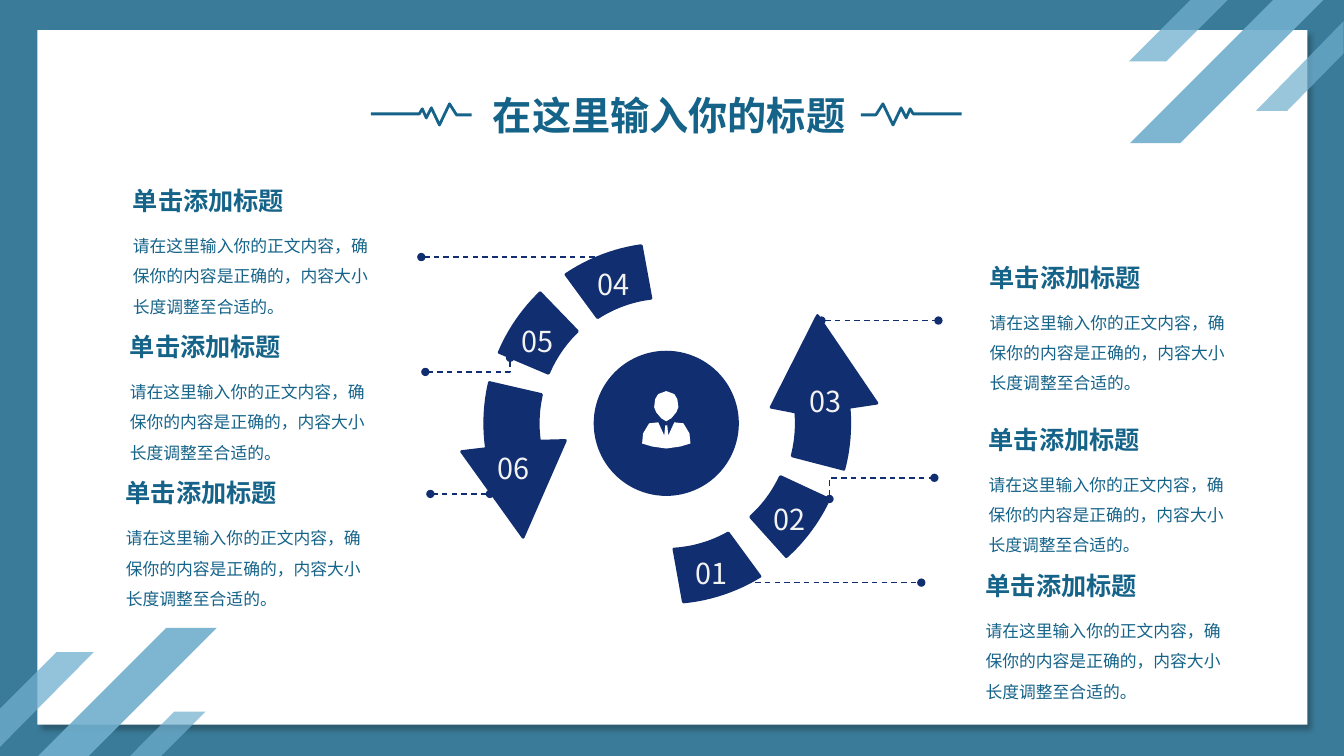
"""Build a slide with a six-step arrow cycle and its captions."""
import math

from lxml import etree
from pptx import Presentation
from pptx.dml.color import RGBColor
from pptx.enum import dml, shapes as kinds, text
from pptx.oxml import ns
from pptx.util import Pt

FRAME = RGBColor(0x3A, 0x7B, 0x99)
WHITE = RGBColor(0xFF, 0xFF, 0xFF)
STRIPE = RGBColor(0x70, 0xAF, 0xCE)
TEAL = RGBColor(0x15, 0x63, 0x89)
NAVY = RGBColor(0x11, 0x2F, 0x70)
PALE = RGBColor(0xF2, 0xF2, 0xF2)
FONT = "Noto Sans CJK SC"
GRID = 0.72
HUB_X, HUB_Y = 661, 420

deck = Presentation()
deck.slide_width, deck.slide_height = Pt(960), Pt(540)
slide = deck.slides.add_slide(deck.slide_layouts[5])
canvas = slide.shapes


def write(frame, words, size, color, bold=False):
    """Put one formatted run into a text frame and return its paragraph."""
    paragraph = frame.paragraphs[0]
    run = paragraph.add_run()
    run.text = words
    run.font.size, run.font.bold, run.font.name = Pt(size), bold, FONT
    run.font.color.rgb = color
    etree.SubElement(run.font._element, ns.qn("a:ea"), typeface=FONT)
    return paragraph


def outline(corners, fill=None):
    """Draw a polygon, or an open line without fill, given in grid units."""
    points = [(Pt(x * GRID), Pt(y * GRID)) for x, y in corners]
    builder = canvas.build_freeform(*points[0], scale=1.0)
    builder.add_line_segments(points[1:], close=fill is not None)
    drawn = builder.convert_to_shape()
    drawn.shadow.inherit = False
    if fill is None:
        drawn.fill.background()
    else:
        drawn.fill.solid()
        drawn.fill.fore_color.rgb = fill
        drawn.line.fill.background()
    return drawn


slide.background.fill.solid()
slide.background.fill.fore_color.rgb = FRAME
panel = canvas.add_shape(kinds.MSO_SHAPE.RECTANGLE, Pt(26.64), Pt(21.6), Pt(907.2), Pt(496.08))
panel.fill.solid()
panel.fill.fore_color.rgb = WHITE
panel.line.fill.background()
panel.shadow.inherit = False
effects = panel._element.spPr.find(ns.qn("a:effectLst"))
shade = etree.SubElement(effects, ns.qn("a:outerShdw"), blurRad=str(Pt(4)), dist=str(Pt(5)),
                         dir="2700000", algn="tl", rotWithShape="0")
shade_color = etree.SubElement(shade, ns.qn("a:srgbClr"), val="0D0D0D")
etree.SubElement(shade_color, ns.qn("a:alpha"), val="30000")

stripes = [
    (70, [(1333, 21), (1333, 53), (1277, 110), (1246, 110)]),
    (75, [(56, 647), (93, 647), (0, 741), (0, 703)]),
]
for opacity, left, width, top, bottom in [(90, 1121, 50, 0, 142), (75, 1120, 37, 0, 61),
                                          (90, 38, 50, 623, 750), (70, 129, 31, 706, 750)]:
    upper = left + bottom - top
    stripes.append((opacity, [(upper, top), (upper + width, top),
                              (left + width, bottom), (left, bottom)]))
for opacity, corners in stripes:
    stripe = outline(corners, STRIPE)
    stripe_color = stripe._element.spPr.find(".//" + ns.qn("a:srgbClr"))
    etree.SubElement(stripe_color, ns.qn("a:alpha"), val=str(opacity * 1000))

pulse = [(468, 114), (453, 114), (446, 103), (436, 124), (428, 107),
         (423, 117), (419, 108), (416, 113), (368, 113)]
for beat in (pulse, [(2 * HUB_X - x, y) for x, y in pulse]):
    wave = outline(beat)
    wave.line.color.rgb = TEAL
    wave.line.width = Pt(2)

title = canvas.title
canvas._spTree.append(title._element)
title.left, title.top, title.width, title.height = Pt(344.88), Pt(61.2), Pt(270), Pt(41.04)
title.text_frame.auto_size = text.MSO_AUTO_SIZE.NONE
title.text_frame.word_wrap = True
write(title.text_frame, "在这里输入你的标题", 28, TEAL, True).alignment = text.PP_ALIGN.LEFT

leaders = [
    [(613, 255), (418, 255)],
    [(506, 355), (506, 369), (422, 369)],
    [(486, 490), (427, 490)],
    [(736, 578), (914, 578)],
    [(823, 495), (823, 474), (927, 474)],
    [(815, 318), (931, 318)],
]
for route in leaders:
    if len(route) == 2:
        ends = [Pt(value * GRID) for point in route for value in point]
        leader = canvas.add_connector(kinds.MSO_CONNECTOR.STRAIGHT, *ends)
        etree.SubElement(leader._element.spPr, ns.qn("a:effectLst"))
    else:
        leader = outline(route)
    leader.line.color.rgb = NAVY
    leader.line.width = Pt(1)
    leader.line.dash_style = dml.MSO_LINE.DASH
    for tip in ("a:headEnd", "a:tailEnd"):
        etree.SubElement(leader.line._ln, ns.qn(tip), type="oval")

steps = [
    ("01", 482.4, 393.12, 125, 84.5, 58.5, 2, []),
    ("02", 537.84, 354.96, 125, 48, 25, 0, []),
    ("03", 563.76, 270.72, 129, 14.5, -5, 0, [(870, 400), (811, 313), (765, 404)]),
    ("04", 412.56, 187.2, 125, 262, 236, 1, []),
    ("05", 357.84, 227.52, 127, 226, 203, 0, []),
    ("06", 340.56, 318.24, 127, 193, 172, 0, [(458, 448), (519, 533), (561, 437)]),
]
for number, left, top, inner, start, end, lean, arrowhead in steps:
    sweep = [start + (end - start) * n / 12 for n in range(13)]
    outer_arc, inner_arc = [
        [(HUB_X + radius * math.cos(math.radians(angle + turn)),
          HUB_Y + radius * math.sin(math.radians(angle + turn))) for angle in sweep]
        for radius, turn in ((inner + 53, 0), (inner, lean))]
    segment = outline(outer_arc + arrowhead + inner_arc[::-1], NAVY)
    segment.line.color.rgb = NAVY
    segment.line.width = Pt(2)
    etree.SubElement(segment.line._ln, ns.qn("a:round"))
    label = canvas.add_textbox(Pt(left), Pt(top), Pt(51.84), Pt(32.4)).text_frame
    label.word_wrap = True
    write(label, number, 20.6, PALE).alignment = text.PP_ALIGN.CENTER

hub = canvas.add_shape(kinds.MSO_SHAPE.OVAL, Pt(424.08), Pt(250.56), Pt(103.68), Pt(103.68))
hub.shadow.inherit = False
hub.fill.solid()
hub.fill.fore_color.rgb = NAVY
hub.line.fill.background()

half_suit = [(661, 445), (647, 443), (637, 440), (638, 430), (644, 420),
             (653, 419), (659, 432), (660, 422)]
half_head = [(661, 388), (653, 391), (650, 396), (649, 404), (651, 409), (656, 415), (661, 418)]
for half in (half_suit, half_head):
    outline(half + [(2 * HUB_X - x, y) for x, y in half[::-1]], WHITE)

captions = [(87.84, 128.88), (85.68, 233.28), (82.8, 337.68),
            (699.12, 299.52), (696.96, 403.92), (699.84, 183.6)]
for left, top in captions:
    body = canvas.add_textbox(Pt(left), Pt(top + 28.8), Pt(191.52), Pt(69.84)).text_frame
    body.word_wrap = True
    write(body, "请在这里输入你的正文内容，确保你的内容是正确的，内容大小长度调整至合适的。",
          12, TEAL).line_spacing = 1.5
    heading = canvas.add_textbox(Pt(left), Pt(top), Pt(126.72), Pt(28.8)).text_frame
    heading.word_wrap = False
    write(heading, "单击添加标题", 18, TEAL, True)

deck.save("out.pptx")
